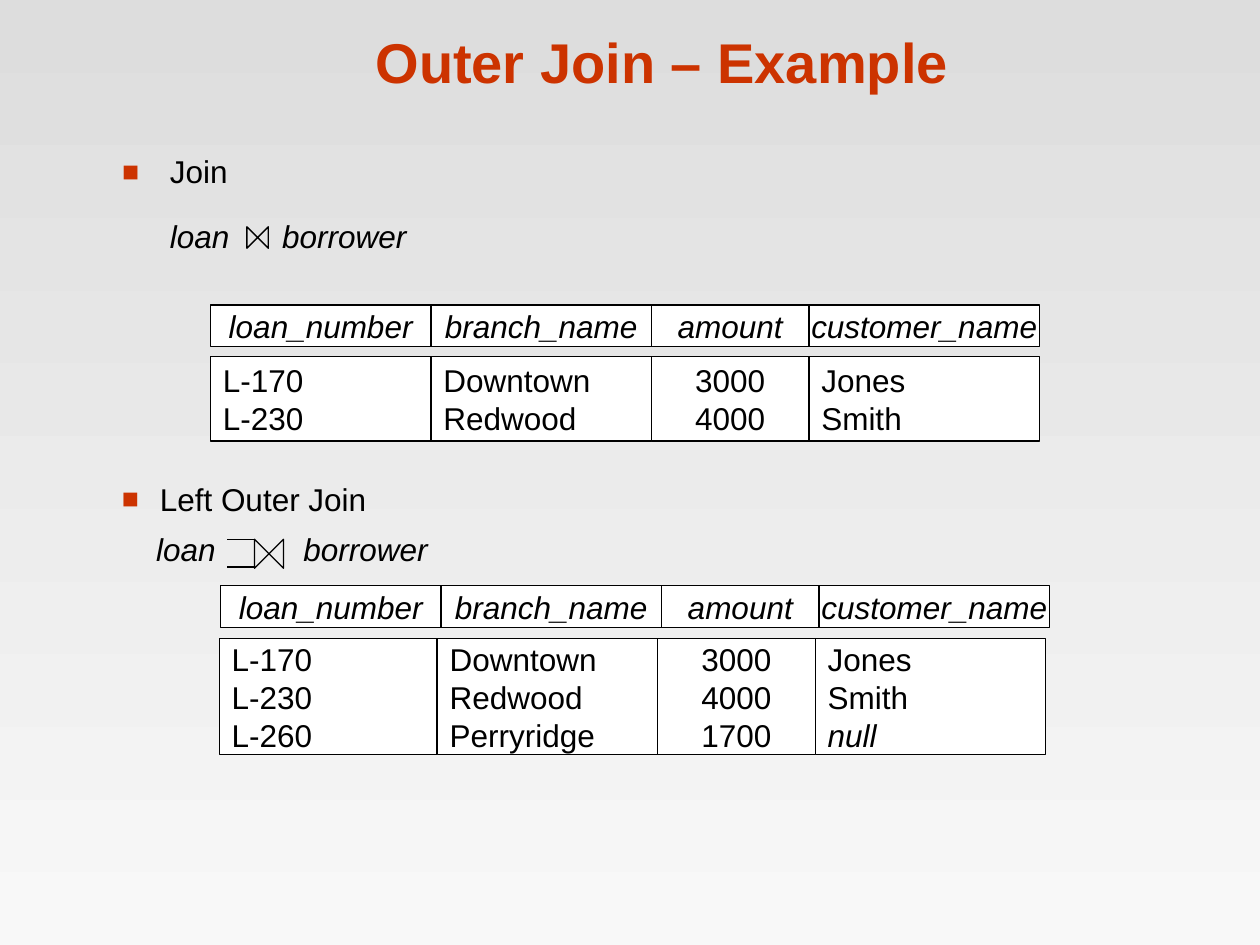
"""Build the outer join example slide."""
from lxml.etree import SubElement
from pptx import Presentation
from pptx.dml.color import RGBColor
from pptx.enum.shapes import MSO_CONNECTOR, MSO_SHAPE
from pptx.enum.text import MSO_ANCHOR, PP_ALIGN
from pptx.oxml.ns import qn
from pptx.util import Inches, Pt

RED = RGBColor(0xCC, 0x33, 0x00)
BLACK = RGBColor(0x00, 0x00, 0x00)
WHITE = RGBColor(0xFF, 0xFF, 0xFF)
BG_TOP = RGBColor(0xDD, 0xDD, 0xDD)
BG_BOTTOM = RGBColor(0xF8, 0xF8, 0xF8)


def style(p, size=18, color=BLACK, bold=False, italic=False):
    for r in p.runs:
        r.font.name = "Arial"
        r.font.size = Pt(size)
        r.font.bold = bold
        r.font.italic = italic
        r.font.color.rgb = color


def outlined(shapes, kind, left, top, width, height):
    sp = shapes.add_shape(kind, Inches(left), Inches(top), Inches(width), Inches(height))
    sp.shadow.inherit = False
    sp.fill.background()
    sp.line.color.rgb = BLACK
    sp.line.width = Pt(0.75)
    return sp


prs = Presentation()
prs.slide_width, prs.slide_height = Inches(10), Inches(7.5)
s = prs.slides.add_slide(prs.slide_layouts[5])

bg = s.background.fill
bg.gradient()
bg.gradient_angle = 270
for stop, color, position in zip(bg.gradient_stops, (BG_TOP, BG_BOTTOM), (0, 1)):
    stop.color.rgb = color
    stop.position = position

title = s.shapes.title
title.left, title.top = Inches(0.84), Inches(0.13)
title.width, title.height = Inches(8.83), Inches(0.67)
tf = title.text_frame
tf.text = "Outer Join – Example"
tf.vertical_anchor = MSO_ANCHOR.BOTTOM
tf.paragraphs[0].alignment = PP_ALIGN.CENTER
style(tf.paragraphs[0], size=32, color=RED, bold=True)

join_group = s.shapes.add_group_shape().shapes
sections = [
    (s.shapes, "Join", (1.19, 7.65, 0.92), 0.38, (0.38, 1.27), 0.9, 18),
    (join_group, "Left Outer Join", (3.76, 4.63, 0.81), 0.3, (0.27, 1.44), 1.0, 7),
]
for shapes, heading, (top, width, height), indent, tabs, spacing, gap in sections:
    box = shapes.add_textbox(Inches(0.87), Inches(top), Inches(width), Inches(height))
    tf = box.text_frame
    tf.word_wrap = True
    p = tf.paragraphs[0]
    p.text = heading
    pPr = p._p.get_or_add_pPr()
    pPr.set("marL", str(Inches(indent)))
    pPr.set("indent", str(-Inches(indent)))
    SubElement(SubElement(pPr, qn("a:buClr")), qn("a:srgbClr"), val=str(RED))
    SubElement(pPr, qn("a:buSzPct"), val="90000")
    SubElement(pPr, qn("a:buFont"), typeface="Arial")
    SubElement(pPr, qn("a:buChar"), char="■")
    p.line_spacing = spacing
    style(p)

    p = tf.add_paragraph()
    p.text = "\tloan\tborrower"
    tab_list = SubElement(p._p.get_or_add_pPr(), qn("a:tabLst"))
    for tab in tabs:
        SubElement(tab_list, qn("a:tab"), pos=str(Inches(tab)), algn="l")
    p.line_spacing = spacing
    p.space_before = Pt(gap)
    style(p, italic=True)

for shapes, left, top, size in [(s.shapes, 1.96, 1.8, 0.17), (join_group, 2.02, 4.28, 0.23)]:
    bowtie = outlined(shapes, MSO_SHAPE.FLOWCHART_COLLATE, left, top, size, size)
    bowtie.rotation = 270

for y in (4.28, 4.5):
    line = join_group.add_connector(
        MSO_CONNECTOR.STRAIGHT, Inches(2.02), Inches(y), Inches(1.8), Inches(y))
    line.line.color.rgb = BLACK
    line.line.width = Pt(0.75)
    SubElement(line._element.spPr, qn("a:effectLst"))

HEADERS = ["loan_number", "branch_name", "amount", "customer_name"]
WIDTHS = [1.75, 1.75, 1.25, 1.83]
ROWS = [
    ("L-170", "Downtown", "3000", "Jones"),
    ("L-230", "Redwood", "4000", "Smith"),
    ("L-260", "Perryridge", "1700", "null"),
]
relations = [
    (1.67, 2.42, 1.67, 2.83, 0.67, WIDTHS, ROWS[:2]),
    (1.75, 4.65, 1.74, 5.07, 0.92, [1.73] + WIDTHS[1:], ROWS),
]
for head_left, head_top, body_left, body_top, body_height, body_widths, rows in relations:
    group = s.shapes.add_group_shape().shapes
    bands = [
        (head_left, head_top, 0.33, WIDTHS, [HEADERS], 0),
        (body_left, body_top, body_height, body_widths, rows, 0.1),
    ]
    for x, top, height, widths, lines, margin in bands:
        for width, values in zip(widths, zip(*lines)):
            cell = outlined(group, MSO_SHAPE.RECTANGLE, x, top, width, height)
            cell.fill.solid()
            cell.fill.fore_color.rgb = WHITE
            tf = cell.text_frame
            tf.word_wrap = True
            tf.vertical_anchor = MSO_ANCHOR.MIDDLE
            tf.margin_left = tf.margin_right = Inches(margin)
            tf.text = "\n".join(values)
            is_header = values[0] in HEADERS
            centred = is_header or values[0].isdigit()
            for p in tf.paragraphs:
                p.alignment = PP_ALIGN.CENTER if centred else PP_ALIGN.LEFT
                style(p, italic=is_header or p.text == "null")
            x += width

prs.save("out.pptx")
